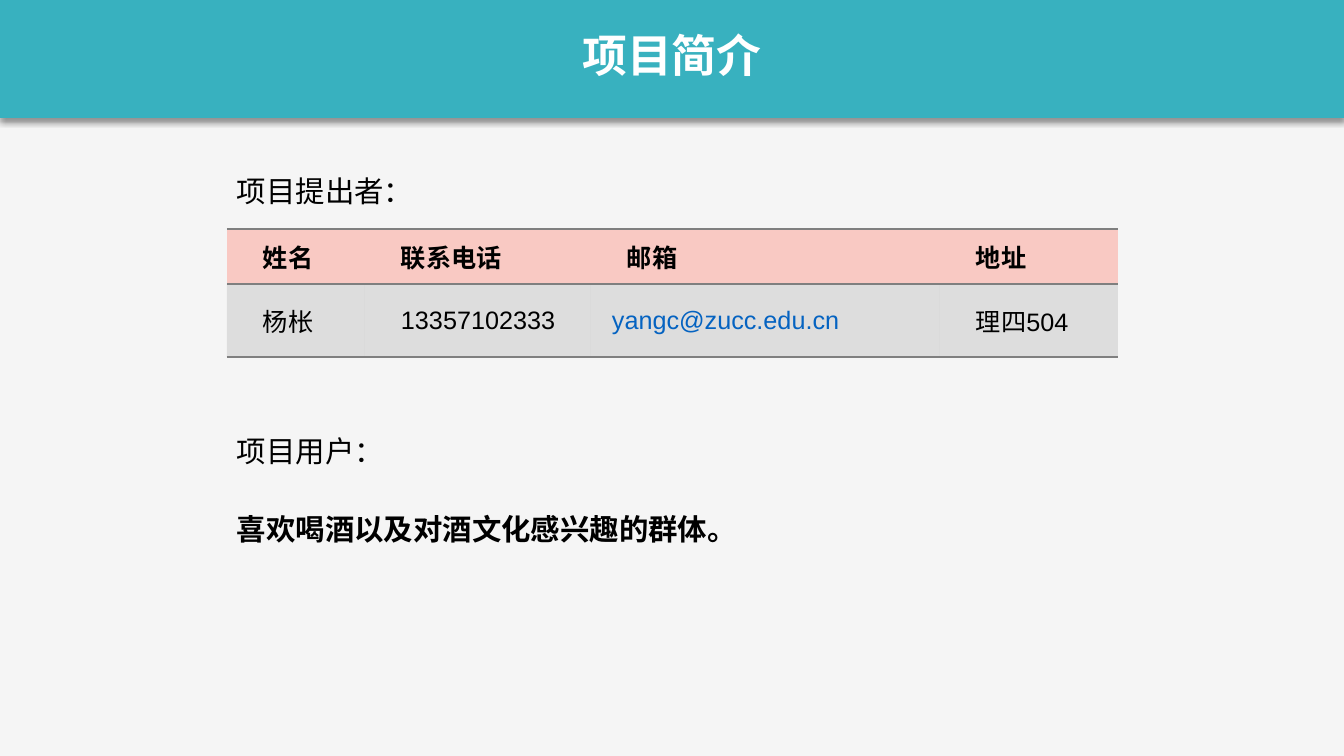
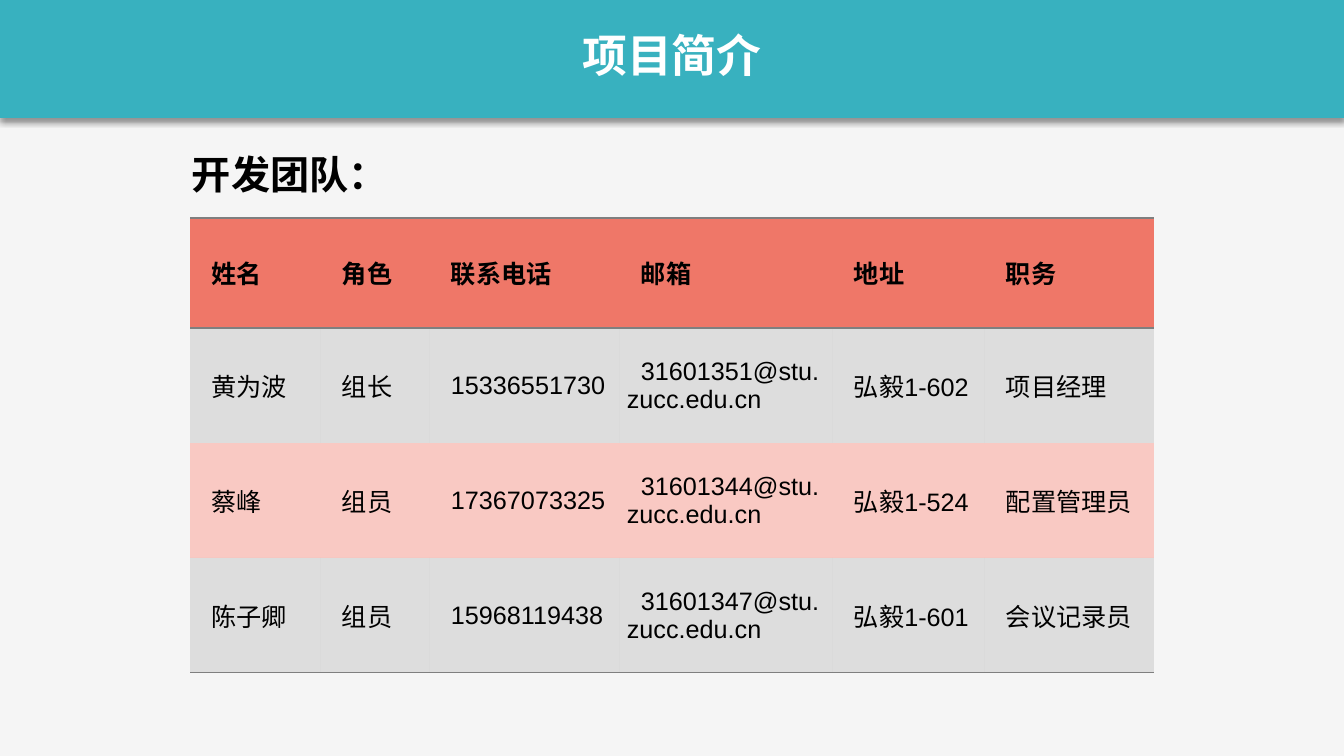
import dataclasses

import lxml.etree
import pptx
import pptx.dml.color
import pptx.enum.shapes
import pptx.enum.text
import pptx.oxml
import pptx.oxml.ns
import pptx.util

RGB = pptx.dml.color.RGBColor.from_string
ALIGN = pptx.enum.text.PP_ALIGN
NO_TABLE_STYLE = "{2D5ABB26-0587-4C30-8999-92F81FD0307C}"
EMU_PER_PX = 12192000 / 1344


@dataclasses.dataclass(frozen=True)
class Theme:
    page: str = "F5F5F5"
    band: str = "38B1BF"
    title: str = "FFFFFF"
    text: str = "000000"
    email: str = "0563C1"
    coral: str = "EF7768"
    pink: str = "F9C9C3"
    grey: str = "7F7F7F"
    grey_alpha: int = 20
    title_pt: int = 32
    heading_pt: int = 28
    label_pt: int = 21
    cell_pt: int = 18
    cjk_font: str = "Noto Sans CJK SC"
    label_font: str = "Calibri"
    cell_font: str = "Arial"


theme = Theme()


def px(length):
    return pptx.util.Emu(round(length * EMU_PER_PX))


def write(paragraph, text, color, **formats):
    """Add one run, with the same Chinese typeface everywhere."""
    run = paragraph.add_run()
    run.text = text
    for attribute, value in formats.items():
        setattr(run.font, attribute, value)
    run.font.color.rgb = RGB(color)
    east_asian = lxml.etree.SubElement(run.font._element, pptx.oxml.ns.qn("a:ea"))
    east_asian.set("typeface", theme.cjk_font)


title_format = dict(name=theme.cjk_font, size=pptx.util.Pt(theme.title_pt), bold=True)
heading_format = dict(name=theme.label_font, size=pptx.util.Pt(theme.heading_pt), bold=True)
label_format = dict(name=theme.label_font, size=pptx.util.Pt(theme.label_pt), bold=False)
users_format = dict(label_format, bold=True)
cell_format = dict(name=theme.cell_font, size=pptx.util.Pt(theme.cell_pt))

# Labels hold left, top, width, height, text and format.
pages = [
    dict(
        labels=[
            (227, 168, 398, 45, "项目提出者：", label_format),
            (227, 428, 165, 45, "项目用户：", label_format),
            (227, 506, 741, 45, "喜欢喝酒以及对酒文化感兴趣的群体。", users_format),
        ],
        origin=(227, 229),
        columns=[138, 226, 349, 178],
        heights=[55, 73],
        fills=[theme.pink, theme.grey],
        indent=29,
        align=ALIGN.LEFT,
        rows=[
            ["姓名", "联系电话", "邮箱", "地址"],
            ["杨枨", "13357102333", "yangc@zucc.edu.cn", "理四504"],
        ],
        accents={"yangc@zucc.edu.cn": (theme.email, 14)},
    ),
    dict(
        labels=[(182, 145, 314, 57, "开发团队：", heading_format)],
        origin=(190, 218),
        columns=[131, 109, 190, 213, 152, 169],
        heights=[110, 115, 115, 115],
        fills=[theme.coral, theme.grey, theme.pink, theme.grey],
        indent=14,
        align=ALIGN.JUSTIFY,
        rows=[
            ["姓名", "角色", "联系电话", "邮箱", "地址", "职务"],
            ["黄为波", "组长", "15336551730", "31601351@stu.zucc.edu.cn", "弘毅1-602", "项目经理"],
            ["蔡峰", "组员", "17367073325", "31601344@stu.zucc.edu.cn", "弘毅1-524", "配置管理员"],
            ["陈子卿", "组员", "15968119438", "31601347@stu.zucc.edu.cn", "弘毅1-601", "会议记录员"],
        ],
        accents={},
    ),
]

deck = pptx.Presentation()
deck.slide_width, deck.slide_height = px(1344), px(756)

for page in pages:
    slide = deck.slides.add_slide(deck.slide_layouts[6])
    slide.background.fill.solid()
    slide.background.fill.fore_color.rgb = RGB(theme.page)

    # Title band with its soft lower shadow
    band = slide.shapes.add_shape(
        pptx.enum.shapes.MSO_SHAPE.RECTANGLE, px(0), px(-6), px(1344), px(124))
    band.fill.solid()
    band.fill.fore_color.rgb = RGB(theme.band)
    band.line.fill.background()
    band.shadow.inherit = False
    band.element.xpath(".//a:effectLst")[0].append(pptx.oxml.parse_xml(
        f'<a:outerShdw {pptx.oxml.ns.nsdecls("a")} blurRad="50800" dist="38100" '
        f'dir="5400000" algn="t" rotWithShape="0"><a:srgbClr val="{theme.text}">'
        '<a:alpha val="40000"/></a:srgbClr></a:outerShdw>'))

    title = slide.shapes.add_textbox(px(572), px(23), px(200), px(65)).text_frame
    title.word_wrap = False
    title.paragraphs[0].alignment = ALIGN.CENTER
    write(title.paragraphs[0], "项目简介", theme.title, **title_format)

    for left, top, width, height, text, formats in page["labels"]:
        label = slide.shapes.add_textbox(px(left), px(top), px(width), px(height)).text_frame
        label.word_wrap = True
        write(label.paragraphs[0], text, theme.text, **formats)

    # Contact table
    left, top = page["origin"]
    columns, heights = page["columns"], page["heights"]
    frame = slide.shapes.add_table(
        len(heights), len(columns), px(left), px(top), px(sum(columns)), px(sum(heights)))
    frame.element.xpath(".//a:tableStyleId")[0].text = NO_TABLE_STYLE
    contacts = frame.table
    contacts.horz_banding = False
    for column, width in zip(contacts.columns, columns):
        column.width = px(width)

    for row_index, (values, height, fill) in enumerate(zip(page["rows"], heights, page["fills"])):
        contacts.rows[row_index].height = px(height)
        is_header = row_index == 0
        is_last = row_index == len(heights) - 1
        edges = ["lnT"] * is_header + ["lnB"] * (is_header or is_last)
        for column_index, value in enumerate(values):
            cell = contacts.cell(row_index, column_index)
            cell_layout = dict(
                margin_left=px(7), margin_right=px(7), margin_top=0, margin_bottom=0,
                vertical_anchor=pptx.enum.text.MSO_ANCHOR.MIDDLE)
            for attribute, setting in cell_layout.items():
                setattr(cell, attribute, setting)
            cell.fill.solid()
            cell.fill.fore_color.rgb = RGB(fill)
            properties = cell._tc.tcPr
            if fill == theme.grey:
                alpha = lxml.etree.SubElement(
                    properties.xpath("./a:solidFill/a:srgbClr")[0], pptx.oxml.ns.qn("a:alpha"))
                alpha.set("val", str(theme.grey_alpha * 1000))
            for position, edge in enumerate(edges):
                properties.insert(position, pptx.oxml.parse_xml(
                    f'<a:{edge} {pptx.oxml.ns.nsdecls("a")} w="12700"><a:solidFill>'
                    f'<a:srgbClr val="{theme.grey}"/></a:solidFill></a:{edge}>'))

            color, indent = page["accents"].get(value, (theme.text, page["indent"]))
            paragraph = cell.text_frame.paragraphs[0]
            paragraph.alignment = page["align"]
            paragraph._p.get_or_add_pPr().set("indent", str(px(indent)))
            write(paragraph, value, color, bold=is_header, **cell_format)

deck.save("out.pptx")
